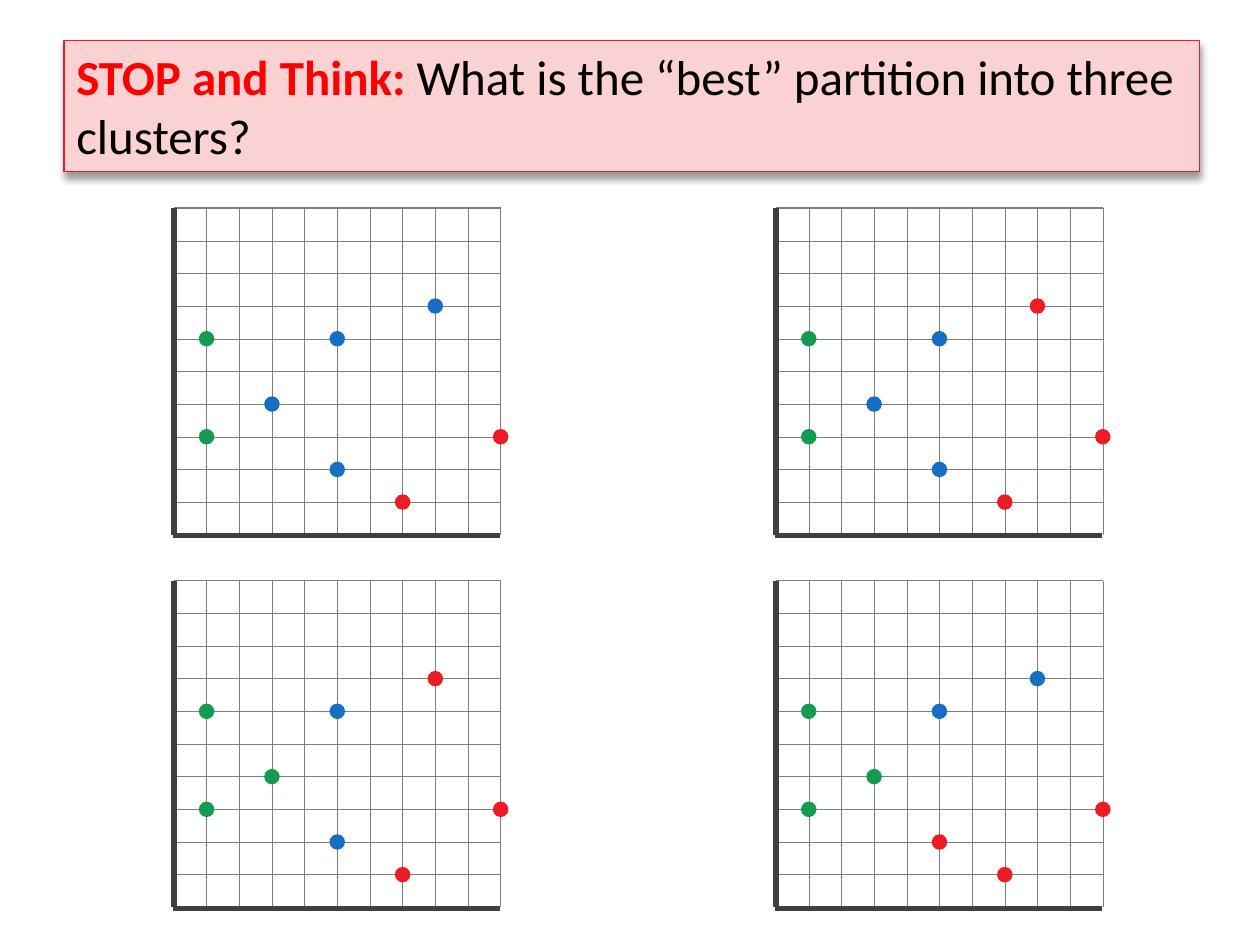
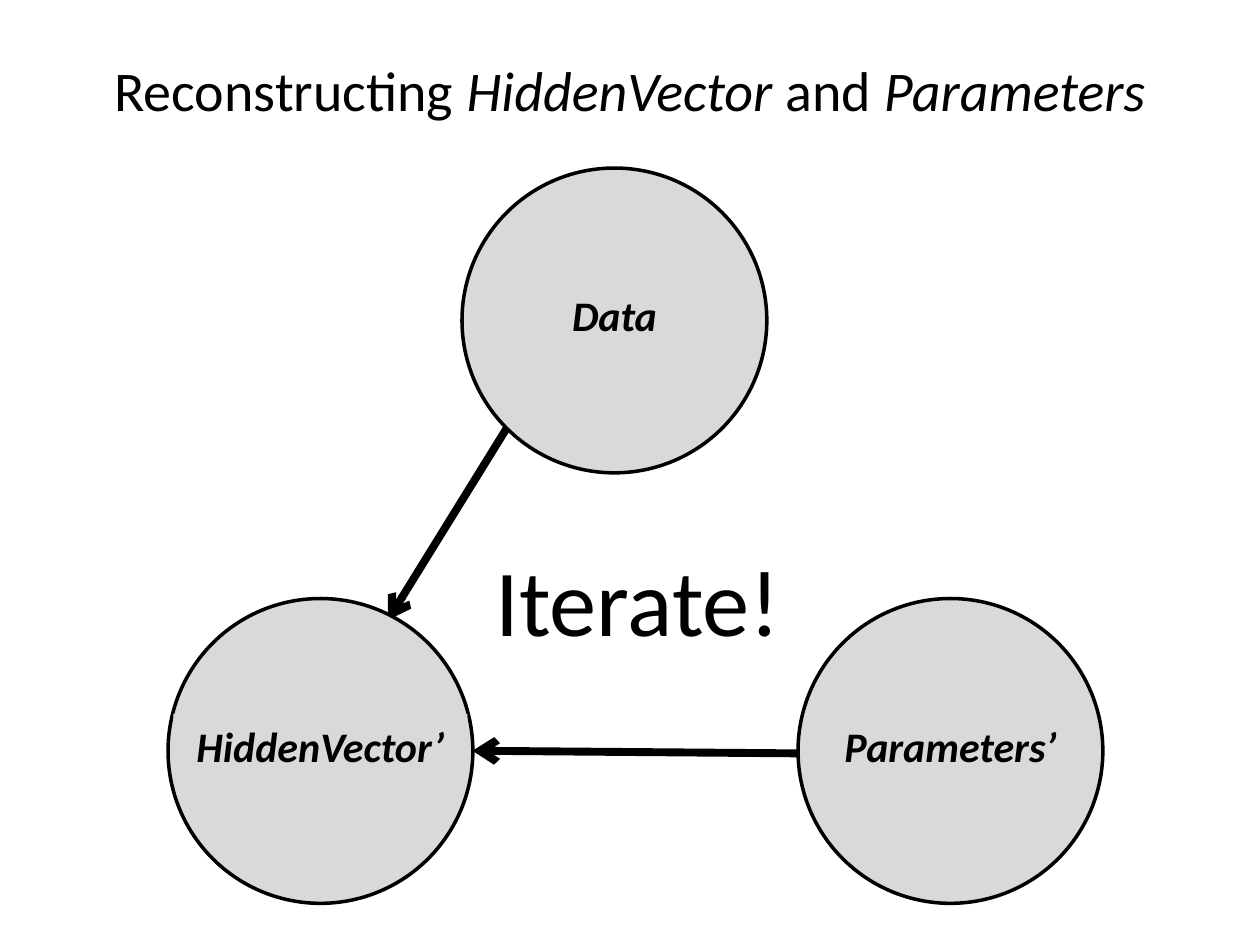
from pptx import Presentation
from pptx.dml.color import RGBColor
from pptx.enum.shapes import MSO_CONNECTOR, MSO_SHAPE
from pptx.enum.text import MSO_ANCHOR as ANCHOR, PP_ALIGN as ALIGN
from pptx.oxml import parse_xml
from pptx.oxml.ns import nsdecls, qn
from pptx.oxml.xmlchemy import OxmlElement
from pptx.util import Pt

BLACK = RGBColor(0x00, 0x00, 0x00)
STOP_RED = RGBColor(0xFF, 0x00, 0x00)
PINK = RGBColor(0xFB, 0xD2, 0xD3)
RED = RGBColor(0xED, 0x1C, 0x24)
GREEN = RGBColor(0x14, 0x9B, 0x52)
BLUE = RGBColor(0x17, 0x6F, 0xC1)
GRID = RGBColor(0x7F, 0x7F, 0x7F)
AXIS = RGBColor(0x40, 0x40, 0x40)
GRAY = RGBColor(0xD9, 0xD9, 0xD9)

# Scatter panels: data points in grid units from the bottom left corner
CELLS, CELL, DOT = 10, 18.67, 8.9
POINTS = [(1, 3), (1, 6), (3, 4), (5, 2), (5, 6), (7, 1), (8, 7), (10, 3)]
CLUSTER = {"R": RED, "G": GREEN, "B": BLUE}
PANEL_X, PANEL_Y = (99.4, 443.5), (118.9, 331.8)
PARTITIONS = [["GGBBBRBR", "GGBBBRRR"],
              ["GGGBBRRR", "GGGRBRBR"]]

# Diagram
CIRCLE, LABEL_H = 174.2, 37


class Deck:
    font = "Calibri"

    def __init__(self, width, height):
        self.prs = Presentation()
        self.prs.slide_width, self.prs.slide_height = Pt(width), Pt(height)

    def new_slide(self):
        self.slide = self.prs.slides.add_slide(self.prs.slide_layouts[6])
        self.shapes = self.slide.shapes

    def start_group(self):
        self.shapes = self.slide.shapes.add_group_shape().shapes

    def end_group(self):
        self.shapes = self.slide.shapes

    def shape(self, kind, x, y, w, h, fill, line=None, weight=0.75):
        sp = self.shapes.add_shape(kind, Pt(x), Pt(y), Pt(w), Pt(h))
        sp.shadow.inherit = False
        sp.fill.solid()
        sp.fill.fore_color.rgb = fill
        if line is None:
            sp.line.fill.background()
        else:
            sp.line.color.rgb = line
            sp.line.width = Pt(weight)
        return sp

    def line(self, x1, y1, x2, y2, color, weight, arrow=False):
        cn = self.shapes.add_connector(MSO_CONNECTOR.STRAIGHT,
                                       Pt(x1), Pt(y1), Pt(x2), Pt(y2))
        cn.line.color.rgb = color
        cn.line.width = Pt(weight)
        sp_pr = cn._element.spPr
        if arrow:
            tail = OxmlElement("a:tailEnd")
            tail.set("type", "arrow")
            sp_pr.find(qn("a:ln")).append(tail)
        sp_pr.append(OxmlElement("a:effectLst"))

    def textbox(self, x, y, w, h):
        return self.shapes.add_textbox(Pt(x), Pt(y), Pt(w), Pt(h))

    def add_text(self, sp, runs, size, align=ALIGN.LEFT, anchor=ANCHOR.TOP):
        """Fill a shape with runs, each a text and its font settings."""
        tf = sp.text_frame
        tf.word_wrap = True
        tf.vertical_anchor = anchor
        p = tf.paragraphs[0]
        p.alignment = align
        for text, style in runs:
            r = p.add_run()
            r.text = text
            r.font.name, r.font.size = self.font, Pt(size)
            r.font.color.rgb = style.get("color", BLACK)
            r.font.bold = style.get("bold", False)
            r.font.italic = style.get("italic", False)

    def drop_shadow(self, sp):
        sp._element.spPr.find(qn("a:effectLst")).append(parse_xml(
            f'<a:outerShdw {nsdecls("a")} blurRad="{Pt(4)}" dist="{Pt(3)}" '
            'dir="5400000" rotWithShape="0"><a:srgbClr val="000000">'
            '<a:alpha val="40000"/></a:srgbClr></a:outerShdw>'))

    def panel(self, x, y, clusters):
        side = CELLS * CELL
        right, bottom = x + side, y + side
        self.start_group()
        # Grid
        for i in range(CELLS):
            gx, gy = x + (i + 1) * CELL, y + i * CELL
            self.line(gx, bottom, gx, y, GRID, 0.25)
            self.line(right, gy, x, gy, GRID, 0.25 if i else 0.75)
        # Axes
        self.line(x, y, x, bottom, AXIS, 3)
        self.line(right - 0.5, bottom + 0.5, x - 0.5, bottom + 0.5, AXIS, 3)
        # Data points
        for (px, py), key in zip(POINTS, clusters):
            self.shape(MSO_SHAPE.OVAL, x + px * CELL - DOT / 2,
                       bottom - py * CELL - DOT / 2, DOT, DOT, CLUSTER[key])
        self.end_group()

    def node(self, x, y, name, label_w=162):
        self.shape(MSO_SHAPE.OVAL, x, y, CIRCLE, CIRCLE, GRAY, BLACK, 2)
        sp = self.shape(MSO_SHAPE.RECTANGLE, x + (CIRCLE - label_w) / 2,
                        y + 66, label_w, LABEL_H, GRAY)
        self.add_text(sp, [(name, {"bold": True, "italic": True})], 24,
                      ALIGN.CENTER)


def partition_slide(s):
    s.new_slide()
    for y, row in zip(PANEL_Y, PARTITIONS):
        for x, clusters in zip(PANEL_X, row):
            s.panel(x, y, clusters)
    # Question banner
    sp = s.shape(MSO_SHAPE.RECTANGLE, 36.5, 23, 649, 75, PINK, RED)
    s.drop_shadow(sp)
    s.add_text(sp, [("STOP and Think: ", {"color": STOP_RED, "bold": True}),
                    ("What is the “best” partition into three clusters?", {})],
               28)


def iterate_slide(s):
    s.new_slide()
    # Title
    s.add_text(s.textbox(0, 6, 720, 90),
               [("Reconstructing ", {}), ("HiddenVector", {"italic": True}),
                (" and ", {}), ("Parameters", {"italic": True})],
               32, ALIGN.CENTER, ANCHOR.MIDDLE)
    # Nodes and arrows
    s.node(264, 96, "Data")
    s.line(289.5, 244.8, 221.8, 354.2, BLACK, 4.5, arrow=True)
    s.node(456, 342, "Parameters’")
    s.node(96, 342, "HiddenVector’", 168)
    s.line(456, 430.5, 270, 429, BLACK, 4.5, arrow=True)
    # Caption
    s.add_text(s.textbox(276, 306, 198, 73), [("Iterate!", {})], 54)


def main():
    s = Deck(720, 540)
    partition_slide(s)
    iterate_slide(s)
    s.prs.save("out.pptx")


if __name__ == "__main__":
    main()
